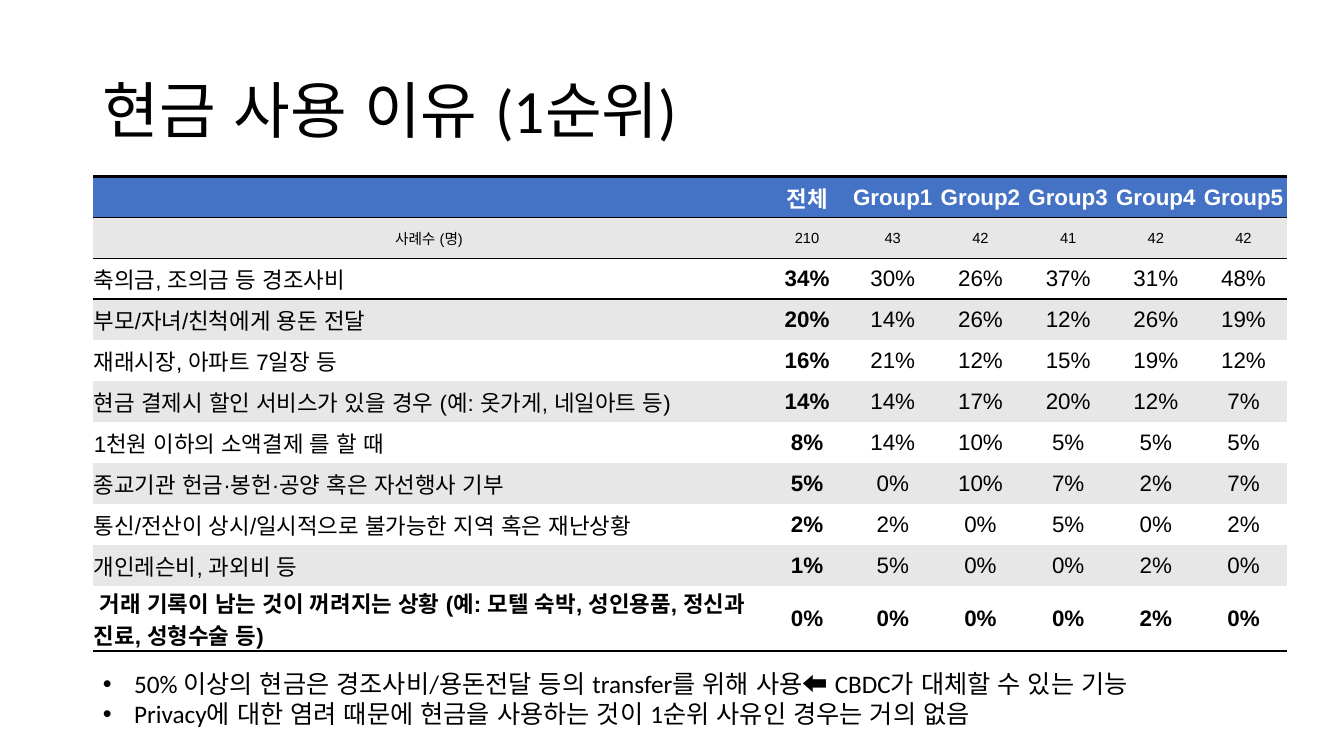
import pptx
import pptx.dml.color
import pptx.enum.lang
import pptx.enum.text
import pptx.oxml
import pptx.oxml.ns
import pptx.util
from pptx.util import Inches

BLACK = pptx.dml.color.RGBColor(0x00, 0x00, 0x00)
WHITE = pptx.dml.color.RGBColor(0xFF, 0xFF, 0xFF)
BLUE = pptx.dml.color.RGBColor(0x44, 0x72, 0xC4)
GRAY = pptx.dml.color.RGBColor(0xE7, 0xE7, 0xE7)

LEFT = pptx.enum.text.PP_ALIGN.LEFT
CENTER = pptx.enum.text.PP_ALIGN.CENTER
MIDDLE = pptx.enum.text.MSO_ANCHOR.MIDDLE
KOREAN = pptx.enum.lang.MSO_LANGUAGE_ID.KOREAN

COLUMN_WIDTHS = [6.67, 0.83] + [0.87] * 5
REASONS = [
    ["", "전체", "Group1", "Group2", "Group3", "Group4", "Group5"],
    ["사례수 (명)", "210", "43", "42", "41", "42", "42"],
    ["축의금, 조의금 등 경조사비", "34%", "30%", "26%", "37%", "31%", "48%"],
    ["부모/자녀/친척에게 용돈 전달", "20%", "14%", "26%", "12%", "26%", "19%"],
    ["재래시장, 아파트 7일장 등", "16%", "21%", "12%", "15%", "19%", "12%"],
    ["현금 결제시 할인 서비스가 있을 경우 (예: 옷가게, 네일아트 등)",
     "14%", "14%", "17%", "20%", "12%", "7%"],
    ["1천원 이하의 소액결제 를 할 때", "8%", "14%", "10%", "5%", "5%", "5%"],
    ["종교기관 헌금·봉헌·공양 혹은 자선행사 기부", "5%", "0%", "10%", "7%", "2%", "7%"],
    ["통신/전산이 상시/일시적으로 불가능한 지역 혹은 재난상황",
     "2%", "2%", "0%", "5%", "0%", "2%"],
    ["개인레슨비, 과외비 등", "1%", "5%", "0%", "0%", "2%", "0%"],
    [" 거래 기록이 남는 것이 꺼려지는 상황 (예: 모텔 숙박, 성인용품, 정신과 진료, 성형수술 등)",
     "0%", "0%", "0%", "0%", "2%", "0%"],
]
LAST = len(REASONS) - 1
TABLE_HEIGHT = Inches(4.71)
LAST_ROW_HEIGHT = Inches(0.65)
# Width in points of each horizontal rule, keyed by the row it lies above
RULES = {0: 2, 1: 1, 2: 1, 3: 1.5, LAST + 1: 2}
FINDINGS = [
    "50% 이상의 현금은 경조사비/용돈전달 등의 transfer를 위해 사용⬅ CBDC가 대체할 수 있는 기능",
    "Privacy에 대한 염려 때문에 현금을 사용하는 것이 1순위 사유인 경우는 거의 없음",
]


def write(p, text, size=16, font="Arial", color=BLACK, bold=False,
          align=LEFT, spacing=1.0):
    p.alignment = align
    p.line_spacing = spacing
    p.space_before = pptx.util.Pt(0)
    r = p.add_run()
    r.text = text
    r.font.size = pptx.util.Pt(size)
    r.font.name = font
    r.font.bold = bold
    r.font.color.rgb = color
    r.font.language_id = KOREAN


def place(s, left, top, width, height):
    s.left, s.top = Inches(left), Inches(top)
    s.width, s.height = Inches(width), Inches(height)


def set_bullet(p, indent):
    pPr = p._p.get_or_add_pPr()
    pPr.set("marL", str(indent))
    pPr.set("indent", str(-indent))
    ns = pptx.oxml.ns.nsdecls("a")
    pPr.append(pptx.oxml.parse_xml(f'<a:buFont {ns} typeface="Arial"/>'))
    pPr.append(pptx.oxml.parse_xml(f'<a:buChar {ns} char="•"/>'))


def set_borders(cell, top, bottom):
    """Rule the top and bottom edges in points; None leaves an edge bare."""
    tcPr = cell._tc.get_or_add_tcPr()
    ns = pptx.oxml.ns.nsdecls("a")
    for side, width in (("L", None), ("R", None), ("T", top), ("B", bottom)):
        paint = "<a:noFill/>"
        if width:
            paint = f'<a:solidFill><a:srgbClr val="{BLACK}"/></a:solidFill>'
        line = f'<a:ln{side} {ns} w="{pptx.util.Pt(width or 0)}">{paint}</a:ln{side}>'
        tcPr.append(pptx.oxml.parse_xml(line))


def fill_cell(cell, row, col, text):
    set_borders(cell, RULES.get(row), RULES.get(row + 1))
    cell.fill.solid()
    cell.fill.fore_color.rgb = BLUE if row == 0 else GRAY if row % 2 else WHITE
    cell.vertical_anchor = MIDDLE
    cell.margin_left = cell.margin_right = cell.margin_top = Inches(0.01)
    cell.margin_bottom = 0
    write(cell.text_frame.paragraphs[0], text,
          size=10.5 if row == 1 else 16,
          color=WHITE if row == 0 else BLACK,
          bold=row in (0, LAST) or (col == 1 and row > 1),
          align=CENTER if col or row == 1 else LEFT)


def add_reasons(slide):
    table = slide.shapes.add_table(len(REASONS), len(COLUMN_WIDTHS), Inches(0.92),
                                   Inches(1.75), Inches(11.87), TABLE_HEIGHT).table
    table.first_row = table.horz_banding = False
    for column, width in zip(table.columns, COLUMN_WIDTHS):
        column.width = Inches(width)
    for row, texts in enumerate(REASONS):
        table.rows[row].height = (LAST_ROW_HEIGHT if row == LAST
                                  else (TABLE_HEIGHT - LAST_ROW_HEIGHT) // LAST)
        for col, text in enumerate(texts):
            fill_cell(table.cell(row, col), row, col, text)


def add_title(slide, text):
    s = slide.shapes.title
    place(s, 0.92, 0.4, 11.5, 1.45)
    s.text_frame.vertical_anchor = MIDDLE
    write(s.text_frame.paragraphs[0], text, size=44, font="Calibri", spacing=0.9)


def add_findings(slide):
    s = slide.placeholders[1]
    place(s, 0.92, 6.58, 11.75, 0.71)
    tf = s.text_frame
    tf.auto_size = pptx.enum.text.MSO_AUTO_SIZE.SHAPE_TO_FIT_TEXT
    for i, text in enumerate(FINDINGS):
        p = tf.add_paragraph() if i else tf.paragraphs[0]
        set_bullet(p, Inches(0.31))
        write(p, text, size=18, font="Calibri")


def main():
    prs = pptx.Presentation()
    prs.slide_width, prs.slide_height = Inches(13.33), Inches(7.5)
    slide = prs.slides.add_slide(prs.slide_layouts[1])
    add_title(slide, "현금 사용 이유 (1순위)")
    add_reasons(slide)
    add_findings(slide)
    prs.save("out.pptx")


if __name__ == "__main__":
    main()
